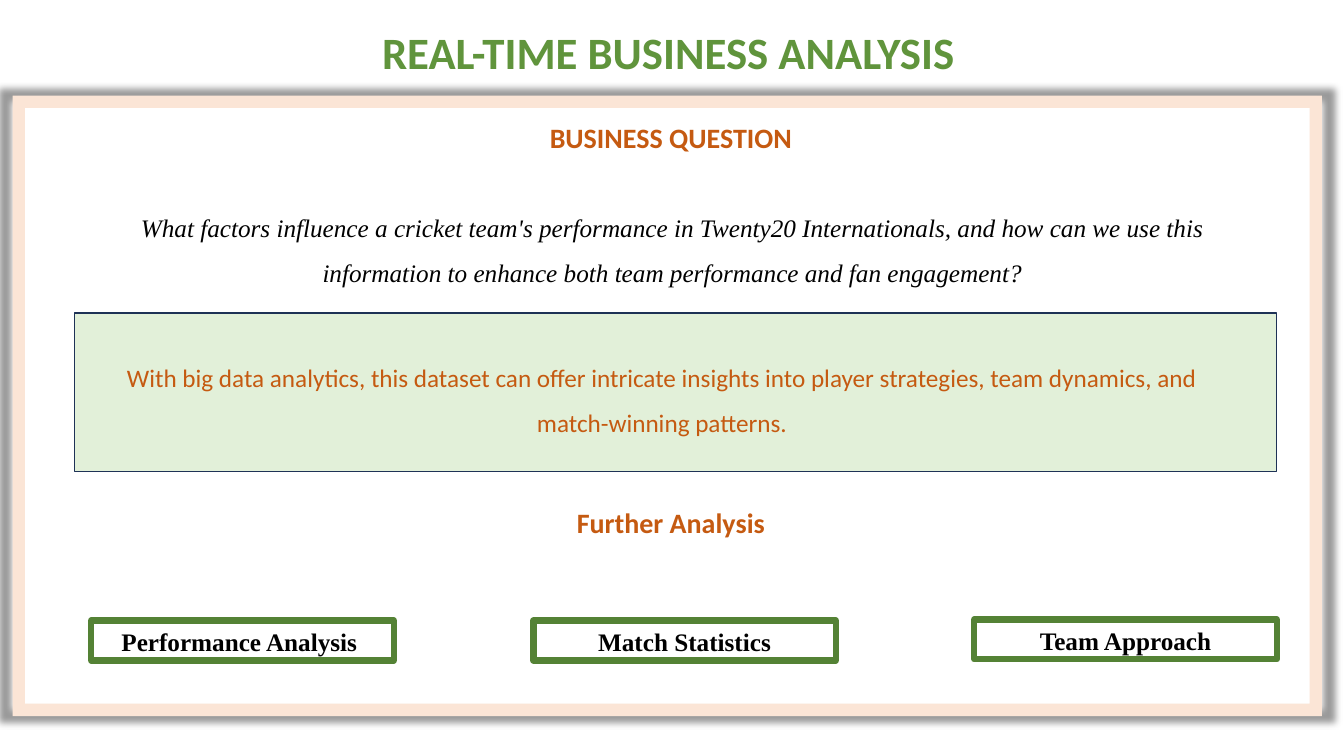
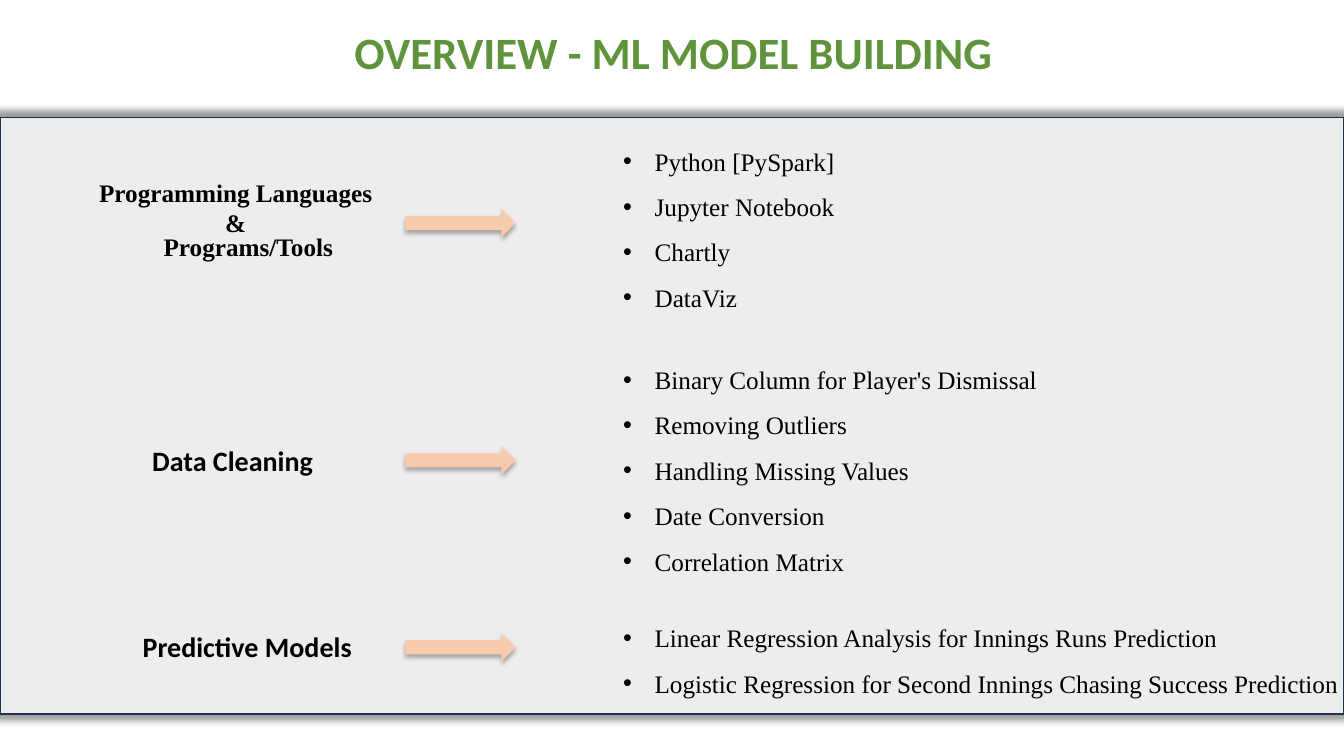
"""Build a two-slide deck on cricket analytics: the business question and the model overview."""

from dataclasses import dataclass, replace
from typing import Optional

import lxml.etree
import pptx
import pptx.dml.color
import pptx.enum.shapes
import pptx.enum.text
import pptx.oxml.ns
import pptx.util

EMU_PER_PX = 9525
SLIDE_WIDTH, SLIDE_HEIGHT = 1280, 720
BULLET_INDENT = 30
SANS, SERIF = "Calibri", "Times New Roman"

COLORS = {
    "title": "60943C",
    "accent": "C55A11",
    "text": "000000",
    "outline": "1E3256",
    "callout": "E2F0D9",
    "topic": "548235",
    "frame": "FBE5D6",
    "panel": "EDEDED",
    "arrow": "F8CBAD",
    "shadow": "000000",
}

SHAPES = pptx.enum.shapes.MSO_SHAPE
ALIGN = pptx.enum.text.PP_ALIGN


@dataclass(frozen=True)
class Box:
    left: int
    top: int
    width: int
    height: int


@dataclass(frozen=True)
class TextStyle:
    font: str
    size: int
    color: str = "text"
    bold: bool = False
    italic: bool = False
    line_spacing: Optional[float] = None
    space_after: int = 0
    bulleted: bool = False


@dataclass(frozen=True)
class Shadow:
    opacity: int
    blur: float
    distance: float = 0
    direction: int = 0
    scale: int = 100


@dataclass(frozen=True)
class Label:
    text: str
    box: Box
    style: TextStyle


@dataclass(frozen=True)
class Stage:
    labels: tuple[Label, ...]
    arrow_top: int
    items: tuple[str, ...]
    items_box: Box


TITLE = TextStyle(SANS, 32, "title", bold=True)
HEADING = TextStyle(SANS, 20, "accent", bold=True)
QUESTION = TextStyle(SERIF, 18, italic=True, line_spacing=1.5, space_after=8)
CALLOUT = TextStyle(SANS, 18, "accent", line_spacing=1.5)
STAGE_SANS = replace(HEADING, color="text")
STAGE_SERIF = TextStyle(SERIF, 18, bold=True)
TOPIC = replace(STAGE_SERIF, line_spacing=1.07, space_after=8)
BULLETS = TextStyle(SERIF, 18, line_spacing=1.5, bulleted=True)

GLOW = Shadow(40, 5, scale=102)
DROP = Shadow(32, 3.5, 2.2, 90)

TITLE_BOX = Box(280, 19, 723, 61)

TOPICS = (
    Label("Performance Analysis ", Box(87, 591, 288, 38), TOPIC),
    Label("Match Statistics", Box(508, 591, 288, 38), TOPIC),
    Label("Team Approach", Box(928, 590, 288, 38), TOPIC),
)

STAGES = (
    Stage(
        (
            Label("Programming Languages &", Box(80, 164, 289, 68), STAGE_SERIF),
            Label("Programs/Tools", Box(131, 216, 211, 38), STAGE_SERIF),
        ),
        199,
        ("Python [PySpark]", "Jupyter Notebook", "Chartly", "DataViz"),
        Box(584, 120, 421, 179),
    ),
    Stage(
        (Label("Data Cleaning ", Box(119, 418, 211, 42), STAGE_SANS),),
        425,
        (
            "Binary Column for Player's Dismissal",
            "Removing Outliers",
            "Handling Missing Values",
            "Date Conversion",
            "Correlation Matrix",
        ),
        Box(584, 328, 421, 223),
    ),
    Stage(
        (Label("Predictive Models", Box(110, 595, 251, 42), STAGE_SANS),),
        603,
        (
            "Linear Regression Analysis for Innings Runs Prediction",
            "Logistic Regression for Second Innings Chasing Success Prediction",
        ),
        Box(584, 574, 723, 92),
    ),
)


def px(length: int) -> pptx.util.Emu:
    return pptx.util.Emu(length * EMU_PER_PX)


def place(box: Box) -> tuple:
    return px(box.left), px(box.top), px(box.width), px(box.height)


def rgb(name: str) -> pptx.dml.color.RGBColor:
    return pptx.dml.color.RGBColor.from_string(COLORS[name])


def add_xml(parent, tag: str, **attributes):
    values = {key: str(value) for key, value in attributes.items()}
    return lxml.etree.SubElement(parent, pptx.oxml.ns.qn(tag), values)


def add_bullet(paragraph) -> None:
    properties = paragraph._p.get_or_add_pPr()
    properties.set("marL", str(px(BULLET_INDENT)))
    properties.set("indent", str(px(-BULLET_INDENT)))
    add_xml(properties, "a:buFont", typeface="Arial")
    add_xml(properties, "a:buChar", char="•")


def write_text(shape, lines: tuple[str, ...], style: TextStyle) -> None:
    frame = shape.text_frame
    frame.word_wrap = True
    frame.auto_size = pptx.enum.text.MSO_AUTO_SIZE.SHAPE_TO_FIT_TEXT
    for index, line in enumerate(lines):
        paragraph = frame.add_paragraph() if index else frame.paragraphs[0]
        if style.bulleted:
            add_bullet(paragraph)
        paragraph.alignment = ALIGN.LEFT if style.bulleted else ALIGN.CENTER
        paragraph.line_spacing = style.line_spacing
        paragraph.space_after = pptx.util.Pt(style.space_after)
        run = paragraph.add_run()
        run.text = line
        run.font.name = style.font
        run.font.size = pptx.util.Pt(style.size)
        run.font.bold = style.bold
        run.font.italic = style.italic
        run.font.color.rgb = rgb(style.color)


def add_text(slide, box: Box, style: TextStyle, *lines: str) -> None:
    write_text(slide.shapes.add_textbox(*place(box)), lines, style)


def add_shadow(shape, shadow: Shadow) -> None:
    effects = shape._element.spPr.find(pptx.oxml.ns.qn("a:effectLst"))
    outer = add_xml(
        effects,
        "a:outerShdw",
        blurRad=pptx.util.Pt(shadow.blur),
        dist=pptx.util.Pt(shadow.distance),
        dir=shadow.direction * 60000,
        sx=shadow.scale * 1000,
        sy=shadow.scale * 1000,
        algn="ctr",
        rotWithShape=0,
    )
    color = add_xml(outer, "a:srgbClr", val=COLORS["shadow"])
    add_xml(color, "a:alpha", val=shadow.opacity * 1000)


def add_block(
    slide,
    kind,
    box: Box,
    fill: Optional[str] = None,
    line: Optional[str] = None,
    line_width: float = 1,
    shadow: Optional[Shadow] = None,
):
    shape = slide.shapes.add_shape(kind, *place(box))
    shape.shadow.inherit = False
    if fill:
        shape.fill.solid()
        shape.fill.fore_color.rgb = rgb(fill)
    else:
        shape.fill.background()
    if line:
        shape.line.color.rgb = rgb(line)
        shape.line.width = pptx.util.Pt(line_width)
        add_xml(shape._element.spPr.find(pptx.oxml.ns.qn("a:ln")), "a:round")
    else:
        shape.line.fill.background()
    if shadow:
        add_shadow(shape, shadow)
    return shape


def add_slide(presentation):
    return presentation.slides.add_slide(presentation.slide_layouts[6])


def build_question_slide(presentation) -> None:
    slide = add_slide(presentation)
    add_text(slide, TITLE_BOX, TITLE, "REAL-TIME BUSINESS ANALYSIS ")
    add_text(
        slide,
        Box(73, 183, 1135, 92),
        QUESTION,
        "What factors influence a cricket team's performance in Twenty20 Internationals, "
        "and how can we use this information to enhance both team performance and fan engagement?",
    )
    add_block(slide, SHAPES.RECTANGLE, Box(71, 298, 1145, 151), "callout", "outline")
    add_text(
        slide,
        Box(94, 326, 1073, 92),
        CALLOUT,
        "With big data analytics, this dataset can offer intricate insights into player "
        "strategies, team dynamics, and match-winning patterns.",
    )
    for topic in TOPICS:
        shape = add_block(slide, SHAPES.RECTANGLE, topic.box, line="topic", line_width=4.5)
        write_text(shape, (topic.text,), topic.style)
    for top, heading in ((110, "BUSINESS QUESTION"), (477, "Further Analysis")):
        add_text(slide, Box(474, top, 330, 42), HEADING, heading)
    frame = add_block(slide, SHAPES.FRAME, Box(12, 91, 1247, 591), "frame", shadow=GLOW)
    frame.adjustments[0] = 0.02


def build_overview_slide(presentation) -> None:
    slide = add_slide(presentation)
    panel = Box(0, 112, SLIDE_WIDTH, 568)
    add_block(slide, SHAPES.RECTANGLE, panel, "panel", "outline", shadow=GLOW)
    add_text(slide, TITLE_BOX, TITLE, "OVERVIEW - ML MODEL BUILDING")
    for stage in STAGES:
        for label in stage.labels:
            add_text(slide, label.box, label.style, label.text)
        arrow = Box(386, stage.arrow_top, 105, 27)
        add_block(slide, SHAPES.RIGHT_ARROW, arrow, "arrow", shadow=DROP)
        add_text(slide, stage.items_box, BULLETS, *stage.items)


def main() -> None:
    presentation = pptx.Presentation()
    presentation.slide_width = px(SLIDE_WIDTH)
    presentation.slide_height = px(SLIDE_HEIGHT)
    build_question_slide(presentation)
    build_overview_slide(presentation)
    presentation.save("out.pptx")


if __name__ == "__main__":
    main()
